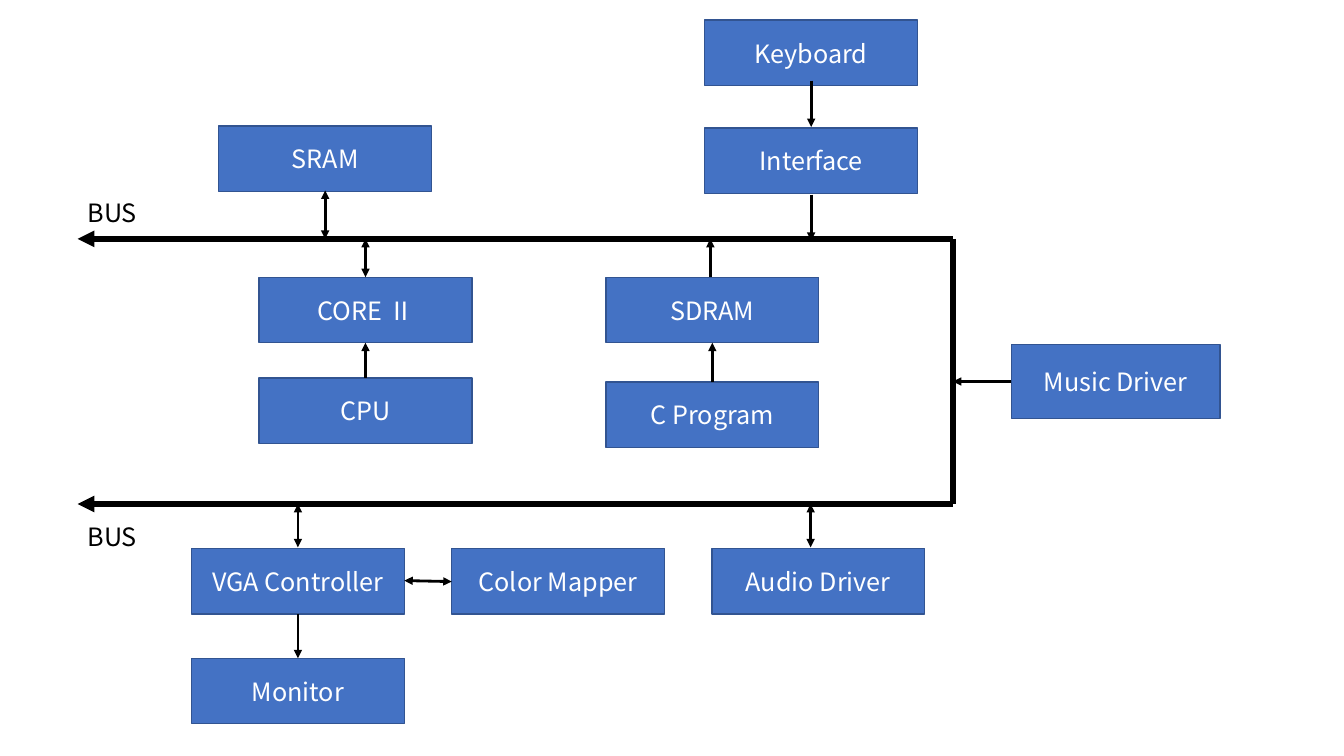
from pptx import Presentation
from pptx.dml.color import RGBColor
from pptx.enum.shapes import MSO_CONNECTOR as CONN, MSO_SHAPE as SHAPE
from pptx.enum.text import MSO_ANCHOR as ANCHOR, PP_ALIGN as ALIGN
from pptx.oxml.ns import qn
from pptx.util import Inches, Pt
from lxml.etree import SubElement

FONT = "Noto Sans CJK SC"
BLUE, EDGE, BLACK, WHITE = "4472C4", "325491", "000000", "FFFFFF"
BLOCK_W, BLOCK_H = 2.11, 0.65
MID = BLOCK_W / 2


def color(fmt, value):
    """Apply a hex colour to a font, line or solid fill."""
    target = fmt.fore_color if hasattr(fmt, "fore_color") else fmt.color
    target.rgb = RGBColor.from_string(value)


def write(sp, text, size=18, fill=BLACK, align=ALIGN.LEFT, anchor=ANCHOR.TOP, wrap=True):
    """Put formatted text into a shape."""
    tf = sp.text_frame
    tf.word_wrap, tf.vertical_anchor = wrap, anchor
    p = tf.paragraphs[0]
    p.alignment = align
    r = p.add_run()
    r.text = text
    r.font.size, r.font.name = Pt(size), FONT
    color(r.font, fill)
    SubElement(r.font._element, qn("a:ea"), typeface=FONT)


def block(s, text, x, y, w=BLOCK_W, h=BLOCK_H):
    """Draw a labelled blue component."""
    sp = s.shapes.add_shape(SHAPE.RECTANGLE, *map(Inches, (x, y, w, h)))
    sp.shadow.inherit = False
    sp.fill.solid()
    color(sp.fill, BLUE)
    color(sp.line, EDGE)
    sp.line.width = Pt(1)
    write(sp, text, fill=WHITE, align=ALIGN.CENTER, anchor=ANCHOR.MIDDLE)


def line(s, x1, y1, x2, y2, width=2, head=False, tail=True):
    """Draw a black line with optional arrowheads at its start and end."""
    c = s.shapes.add_connector(CONN.STRAIGHT, *map(Inches, (x1, y1, x2, y2)))
    c.line.width = Pt(width)
    color(c.line, BLACK)
    ln = c.line._get_or_add_ln()
    for tag, shown in (("a:headEnd", head), ("a:tailEnd", tail)):
        if shown:
            SubElement(ln, qn(tag), type="triangle")
    SubElement(c._element.spPr, qn("a:effectLst"))


def bus(s, x, y, w, h):
    """Draw the two bus lines, the link on their right and their labels."""
    for row in (y, y + h):
        line(s, x + w, row, x, row, width=4)
    line(s, x + w, y, x + w, y + h, width=4, tail=False)
    for top in (y - 0.46, y + h + 0.12):
        sp = s.shapes.add_textbox(*map(Inches, (x, top, 0.7, 0.4)))
        write(sp, "BUS", wrap=False)


def inputs(s, x, y, w, h):
    """Draw the memory and keyboard chain that feed the upper bus."""
    right = x + w - BLOCK_W
    block(s, "SRAM", x, y + 1.05)
    block(s, "Interface", right, y + 1.07)
    block(s, "Keyboard", right, y)
    for top in (y + 0.6, y + 1.73):
        line(s, right + MID, top, right + MID, top + 0.46)
    line(s, x + MID, y + 1.69, x + MID, y + h, head=True)


def processing(s, x, y, w, h):
    """Draw the processor and program columns that hang below the upper bus."""
    right, upper, lower = x + w - BLOCK_W, y + 0.38, y + h - BLOCK_H
    cpu = lower - 0.04
    block(s, "CORE Ⅱ", x, upper)
    block(s, "CPU", x, cpu)
    block(s, "SDRAM", right, upper)
    block(s, "C Program", right, lower)
    line(s, x + MID, y, x + MID, upper, head=True)
    line(s, right + MID - 0.02, upper, right + MID - 0.02, y)
    for left, start in ((x, cpu), (right, lower)):
        line(s, left + MID, start, left + MID, upper + BLOCK_H)


def outputs(s, x, y, w, h):
    """Draw the display and audio parts that hang below the lower bus."""
    upper, lower = y + 0.44, y + h - BLOCK_H
    mapper, audio = x + 2.58, x + w - BLOCK_W
    block(s, "VGA Controller", x, upper)
    block(s, "Monitor", x, lower)
    block(s, "Color Mapper", mapper, upper)
    block(s, "Audio Driver", audio, upper)
    for mid in (x + MID, audio + 0.98):
        line(s, mid, y, mid, upper - 0.01, head=True)
    line(s, x + BLOCK_W, upper + 0.32, mapper, upper + 0.33, head=True)
    line(s, x + MID, upper + BLOCK_H, x + MID, lower)


def music(s, x, y, w, h):
    """Draw the music driver and its arrow to the bus on its left."""
    left = x + 0.58
    block(s, "Music Driver", left, y, w - 0.58, h)
    line(s, left, y + h / 2, x, y + h / 2)


prs = Presentation()
prs.slide_width, prs.slide_height = Inches(13.33), Inches(7.5)
s = prs.slides.add_slide(prs.slide_layouts[6])
bus(s, 0.77, 2.37, 8.68, 2.63)
inputs(s, 2.17, 0.2, 6.93, 2.17)
processing(s, 2.57, 2.37, 5.55, 2.07)
outputs(s, 1.9, 5, 7.27, 2.18)
music(s, 9.45, 3.42, 2.65, 0.73)
prs.save("out.pptx")
